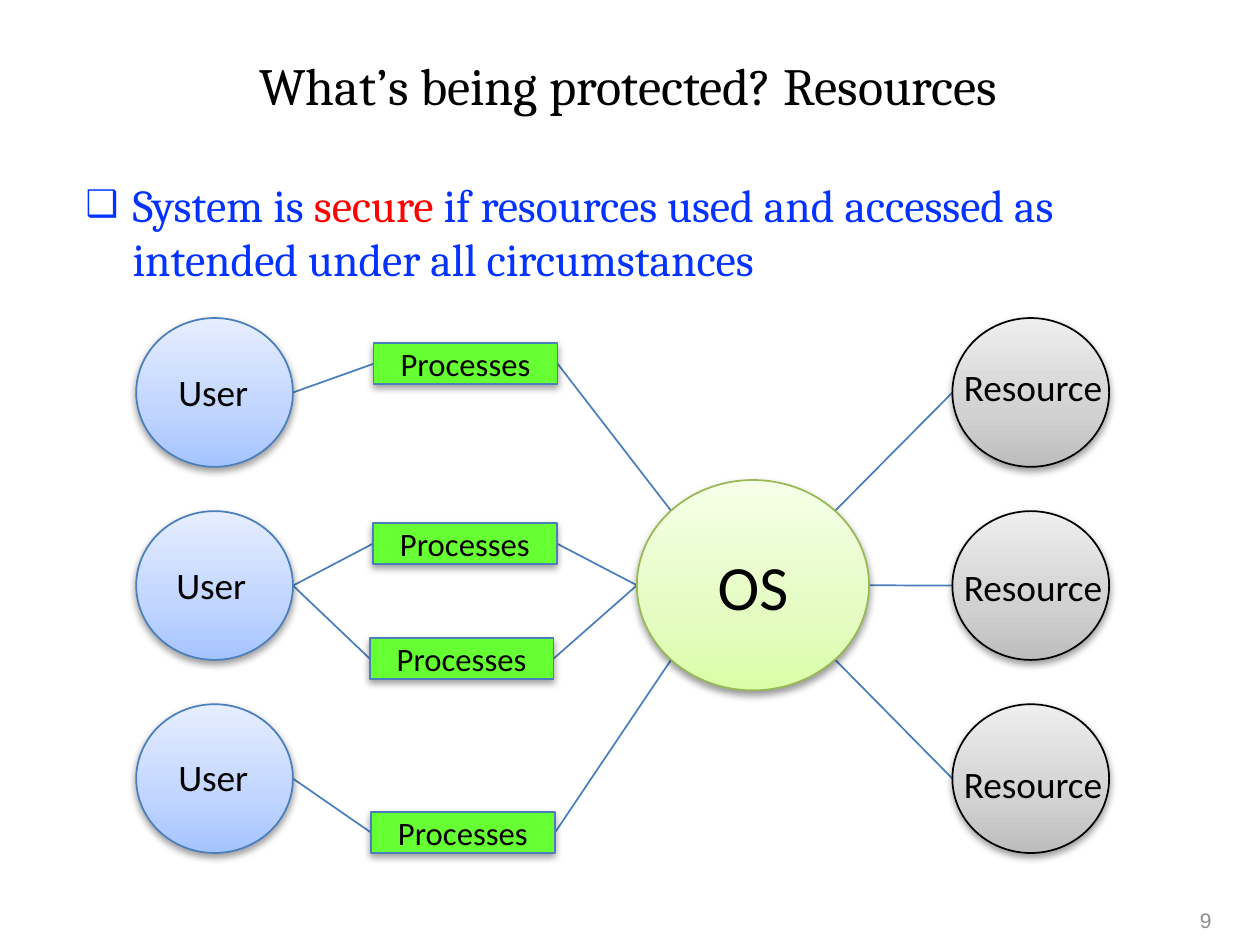
from copy import deepcopy
from lxml.etree import SubElement as Sub
from pptx import Presentation
from pptx.dml.color import RGBColor as RGB
from pptx.enum.shapes import MSO_CONNECTOR as LINK, MSO_SHAPE as SHAPE
from pptx.enum.text import MSO_ANCHOR as ANCHOR, MSO_AUTO_SIZE as FIT, PP_ALIGN as ALIGN
from pptx.oxml.ns import qn
from pptx.util import Cm, Pt

BLACK = RGB(0, 0, 0)
GREY = RGB(0x8C, 0x8C, 0x8C)
BLUE = RGB(0x04, 0x32, 0xFF)
RED = RGB(0xFF, 0, 0)
EDGE = RGB(0x4B, 0x7E, 0xBC)
OLIVE = RGB(0x98, 0xB9, 0x55)
GREEN = RGB(0x66, 0xFF, 0x33)
# Gradients run from bottom to top
SKY = [RGB(0xA4, 0xC4, 0xFF), RGB(0xBF, 0xD4, 0xFF), RGB(0xE6, 0xEE, 0xFF)]
LIME = [RGB(0xDA, 0xFD, 0xA7), RGB(0xE4, 0xFC, 0xC2), RGB(0xF5, 0xFF, 0xE7)]
STEEL = [RGB(0xBD, 0xBD, 0xBD), RGB(0xD1, 0xD1, 0xD1), RGB(0xEE, 0xEE, 0xEE)]
STOPS = [0, 0.35, 1]

# Content
TITLE = "What’s being protected? Resources"
CLAIM = [("System is ", BLUE), ("secure", RED),
         (" if resources used and accessed as intended under all circumstances", BLUE)]
PAGE = "9"

# Diagram boxes in cm: left, top, width, height
ROWS = [4.81 + 2.92 * i for i in range(3)]
USERS = [(2.06, y, 2.37, 2.25) for y in ROWS]
ASSETS = [(14.4, y, 2.37, 2.25) for y in ROWS]
TASKS = [(x, y, 2.78, 0.62) for x, y in
         [(5.65, 5.19), (5.64, 7.91), (5.59, 9.65), (5.61, 12.28)]]
CORE = (9.63, 7.26, 3.51, 3.18)
LABELS = [("User", 1.57, [(2.44, 5.46), (2.41, 8.38), (2.44, 11.28)]),
          ("Resource", 2.64, [(14.3, 5.38), (14.3, 8.41), (14.3, 11.38)])]

# Sites on a box, as shares of its width and height
LEFT, RIGHT = (0, 0.5), (1, 0.5)
NEAR, FAR = 0.15, 0.85
OWNERS = [0, 1, 1, 2]
TASK_SITES = [(NEAR, NEAR), LEFT, LEFT, (NEAR, FAR)]
ASSET_SITES = [(FAR, NEAR), RIGHT, (FAR, FAR)]

deck = Presentation()
deck.slide_width, deck.slide_height = Cm(19.05), Cm(14.29)
slide = deck.slides.add_slide(deck.slide_layouts[1])
shapes = slide.shapes


def write(frame, text, size=16, font="Calibri", color=BLACK, align=ALIGN.CENTER,
          anchor=ANCHOR.MIDDLE, wrap=True):
    """Fill a frame with a string or a list of (string, colour) runs."""
    frame.auto_size, frame.word_wrap = FIT.NONE, wrap
    frame.vertical_anchor = anchor
    para = frame.paragraphs[0]
    para.alignment, para.space_before = align, Pt(0)
    for part, tint in [(text, color)] if isinstance(text, str) else text:
        run = para.add_run()
        run.text = part
        run.font.size, run.font.name = Pt(size), font
        run.font.color.rgb = tint
    return para


def place(item, *box):
    item.left, item.top, item.width, item.height = map(Cm, box)


def node(kind, box, paint, edge, text="", size=14):
    item = shapes.add_shape(kind, *map(Cm, box))
    if isinstance(paint, list):
        item.fill.gradient()
        item.fill.gradient_angle = 90
        first = item.fill.gradient_stops[0]._gs
        first.addnext(deepcopy(first))
        for stop, tint, spot in zip(item.fill.gradient_stops, paint, STOPS):
            stop.color.rgb, stop.position = tint, spot
    else:
        item.fill.solid()
        item.fill.fore_color.rgb = paint
    item.line.color.rgb, item.line.width = edge, Pt(0.75)
    # Soft shadow straight below
    item.shadow.inherit = False
    glow = Sub(item._element.spPr.find(qn("a:effectLst")), qn("a:outerShdw"),
               blurRad="40000", dist="20000", dir="5400000", rotWithShape="0")
    dark = Sub(glow, qn("a:srgbClr"), val="000000")
    Sub(dark, qn("a:alpha"), val="38000")
    if text:
        write(item.text_frame, text, size=size)


def join(a, site_a, b, site_b):
    ends = [Cm(box[i] + box[i + 2] * site[i])
            for box, site in ((a, site_a), (b, site_b)) for i in (0, 1)]
    wire = shapes.add_connector(LINK.STRAIGHT, *ends)
    wire.line.color.rgb, wire.line.width = EDGE, Pt(0.75)
    Sub(wire._element.spPr, qn("a:effectLst"))


# Title and claim
place(shapes.title, 0.2, 0.46, 18.62, 1.63)
head = shapes.title.text_frame
head.margin_left = head.margin_right = head.margin_top = head.margin_bottom = 0
write(head, TITLE, size=22.4, font="Cambria")

body = slide.placeholders[1]
place(body, 1.04, 2.54, 17.3, 11.25)
para = write(body.text_frame, CLAIM, size=19.6, font="Cambria",
             align=ALIGN.LEFT, anchor=ANCHOR.TOP)
props = para._p.get_or_add_pPr()
props.set("marL", str(Cm(0.71)))
props.set("indent", str(-Cm(0.71)))
Sub(props, qn("a:buSzPct"), val="80000")
Sub(props, qn("a:buChar"), char="❑")

# Links, behind the nodes
for task, owner, site in zip(TASKS, OWNERS, TASK_SITES):
    join(USERS[owner], RIGHT, task, LEFT)
    join(task, RIGHT, CORE, site)
for asset, site in zip(ASSETS, ASSET_SITES):
    join(CORE, site, asset, LEFT)

# Nodes
node(SHAPE.OVAL, CORE, LIME, OLIVE, "OS", size=27)
for box in USERS:
    node(SHAPE.OVAL, box, SKY, EDGE)
for box in ASSETS:
    node(SHAPE.OVAL, box, STEEL, BLACK)
for box in TASKS:
    node(SHAPE.RECTANGLE, box, GREEN, EDGE, "Processes")

# Node labels
for name, wide, spots in LABELS:
    for x, y in spots:
        label = shapes.add_textbox(Cm(x), Cm(y), Cm(wide), Cm(0.94))
        write(label.text_frame, name, anchor=ANCHOR.TOP, wrap=False)

# Page number
page = shapes.add_textbox(Cm(14.12), Cm(13.54), Cm(4.45), Cm(0.75))
write(page.text_frame, PAGE, size=9, font="Arial", color=GREY, align=ALIGN.RIGHT)

deck.save("out.pptx")
